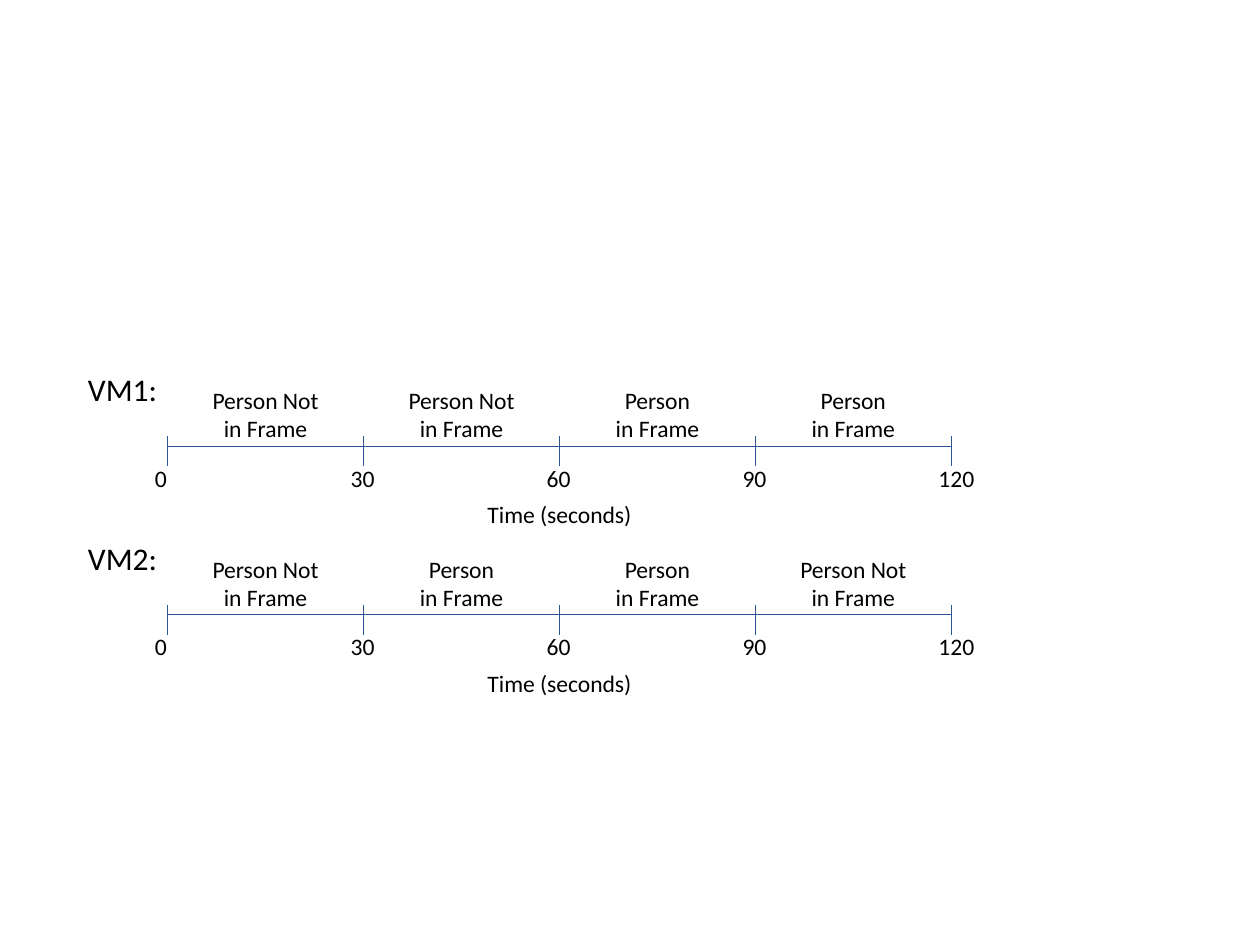
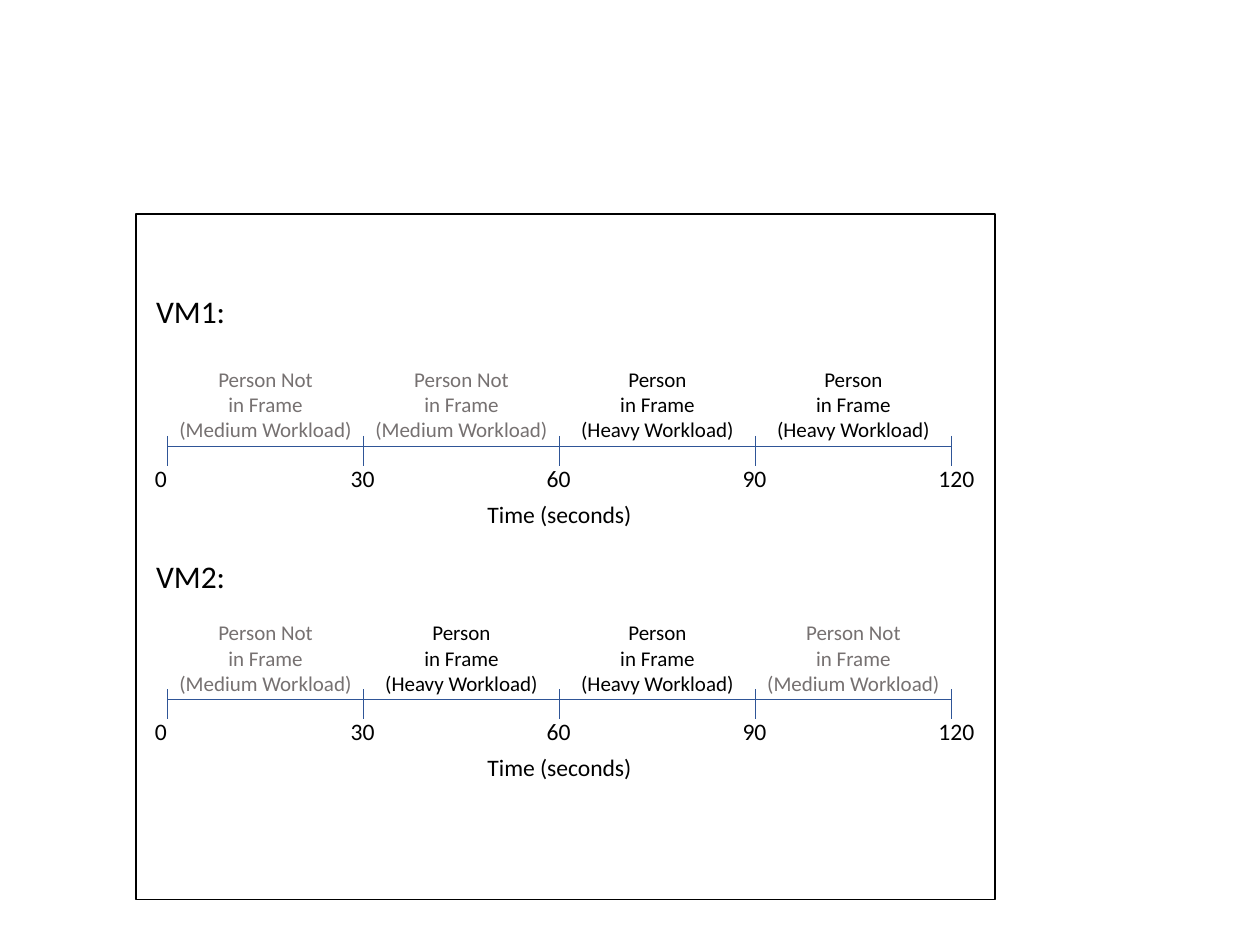
"""Build two slides of virtual machine timelines showing when a person is in frame."""
from dataclasses import dataclass
from itertools import pairwise

from lxml.etree import SubElement
from pptx import Presentation
from pptx.dml.color import RGBColor
from pptx.enum.shapes import MSO_CONNECTOR, MSO_SHAPE
from pptx.enum.text import MSO_AUTO_SIZE, PP_ALIGN
from pptx.oxml.ns import qn
from pptx.util import Inches, Pt


@dataclass(frozen=True)
class Theme:
    font: str = "Calibri"
    ink: str = "000000"
    muted: str = "767171"
    axis: str = "2F5597"
    heading: float = 18
    body: float = 13.5
    small: float = 12
    hairline: float = 0.5
    border: float = 1


@dataclass(frozen=True)
class Caption:
    lines: tuple
    width: float
    size: float = Theme.body
    color: str = Theme.ink


THEME = Theme()
SLIDE_WIDTH, SLIDE_HEIGHT = 10, 7.5
TIMES = (0, 30, 60, 90, 120)
AXIS_LEFT, STEP = 1.33, 1.555
TICKS = [AXIS_LEFT + STEP * column for column in range(len(TIMES))]
AXIS_TITLE, AXIS_TITLE_WIDTH = "Time (seconds)", 3.34
MACHINES = {
    "VM1:": ("out", "out", "in", "in"),
    "VM2:": ("out", "in", "in", "out"),
}
PLAIN = {
    "out": Caption(("Person Not", "in Frame"), 1.06),
    "in": Caption(("Person", "in Frame"), 0.87),
}
WORKLOAD = {
    "out": Caption(("Person Not", "in Frame", "(Medium Workload)"), 1.58,
                   THEME.small, THEME.muted),
    "in": Caption(("Person", "in Frame", "(Heavy Workload)"), 1.42, THEME.small),
}
PAGES = [
    {"captions": PLAIN, "heading_left": 0.6, "heading_tops": (2.89, 4.23),
     "axes": (3.54, 4.88), "frame": None},
    {"captions": WORKLOAD, "heading_left": 1.14, "heading_tops": (2.27, 4.37),
     "axes": (3.54, 5.55), "frame": (1.08, 1.7, 6.82, 5.44)},
]


def add_text(shapes, lines, left, top, width, height, *, size=THEME.body,
             color=THEME.ink, align=PP_ALIGN.LEFT, wrap=True):
    box = shapes.add_textbox(*map(Inches, (left, top, width, height)))
    frame = box.text_frame
    frame.word_wrap = wrap
    frame.auto_size = MSO_AUTO_SIZE.SHAPE_TO_FIT_TEXT
    for index, line in enumerate(lines):
        para = frame.paragraphs[0] if index == 0 else frame.add_paragraph()
        para.alignment = align
        span = para.add_run()
        span.text = line
        span.font.name = THEME.font
        span.font.size = Pt(size)
        span.font.color.rgb = RGBColor.from_string(color)


def add_line(shapes, start, end):
    line = shapes.add_connector(MSO_CONNECTOR.STRAIGHT, *map(Inches, start + end))
    line.line.color.rgb = RGBColor.from_string(THEME.axis)
    line.line.width = Pt(THEME.hairline)
    SubElement(line._element.spPr, qn("a:effectLst"))


def add_frame(shapes, bounds):
    border = shapes.add_shape(MSO_SHAPE.RECTANGLE, *map(Inches, bounds))
    border.shadow.inherit = False
    border.fill.background()
    border.line.color.rgb = RGBColor.from_string(THEME.ink)
    border.line.width = Pt(THEME.border)


def add_timeline(shapes, axis, states, captions):
    for (start, end), state in zip(pairwise(TICKS), states):
        add_line(shapes, (start, axis), (end, axis))
        caption = captions[state]
        height = 0.1 + len(caption.lines) * caption.size * 1.22 / 72
        add_text(shapes, caption.lines, (start + end - caption.width) / 2,
                 axis + 0.03 - height, caption.width, height, size=caption.size,
                 color=caption.color, align=PP_ALIGN.CENTER, wrap=False)
    for tick, time in zip(TICKS, TIMES):
        add_line(shapes, (tick, axis - 0.08), (tick, axis + 0.16))
        label = str(time)
        add_text(shapes, [label], tick - 0.2, axis + 0.09,
                 0.3 + 0.08 * len(label), 0.33)
    middle = (TICKS[0] + TICKS[-1]) / 2
    add_text(shapes, [AXIS_TITLE], middle - AXIS_TITLE_WIDTH / 2, axis + 0.38,
             AXIS_TITLE_WIDTH, 0.33, align=PP_ALIGN.CENTER)


def add_page(deck, content):
    page = deck.slides.add_slide(deck.slide_layouts.get_by_name("Blank"))
    shapes = page.shapes
    if content["frame"]:
        add_frame(shapes, content["frame"])
        shapes = shapes.add_group_shape().shapes
    rows = zip(MACHINES.items(), content["heading_tops"], content["axes"])
    for (name, states), top, axis in rows:
        add_text(shapes, [name], content["heading_left"], top, 0.76, 0.4,
                 size=THEME.heading, wrap=False)
        add_timeline(shapes, axis, states, content["captions"])


deck = Presentation()
deck.slide_width, deck.slide_height = Inches(SLIDE_WIDTH), Inches(SLIDE_HEIGHT)
for content in PAGES:
    add_page(deck, content)
deck.save("out.pptx")
